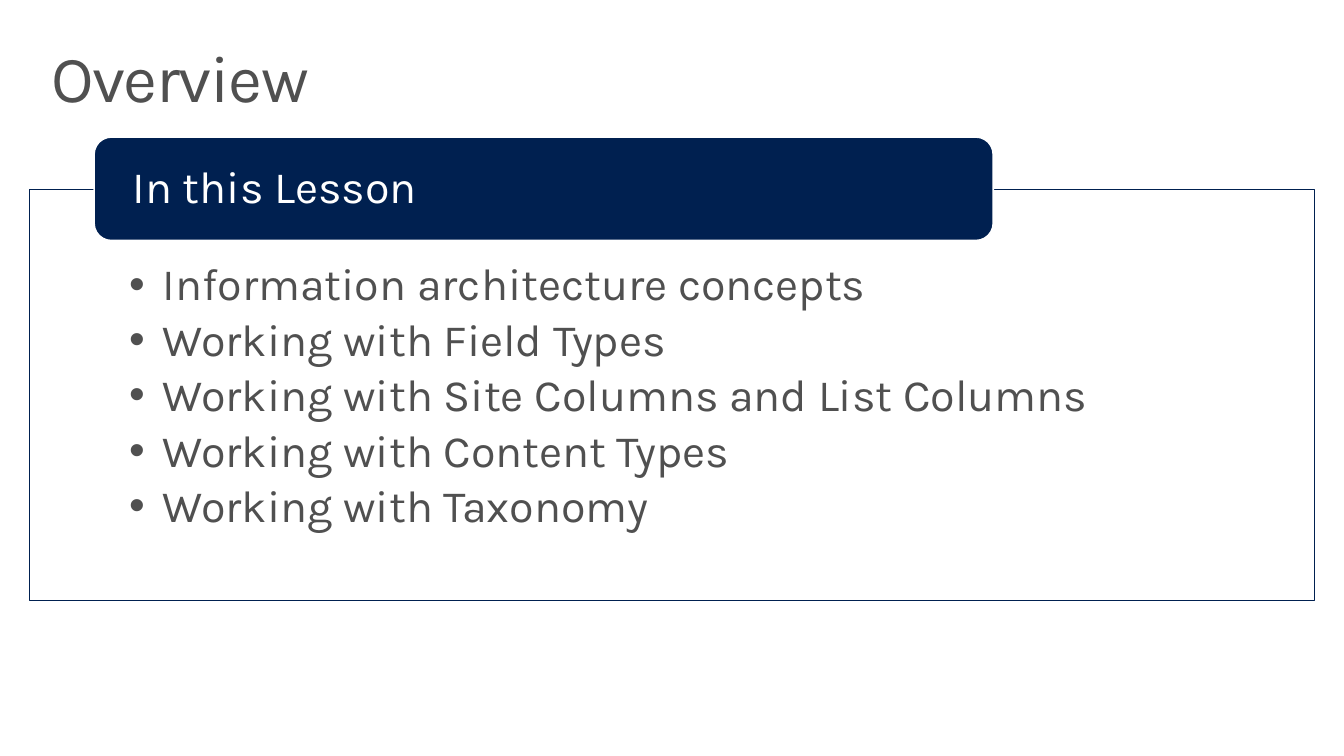
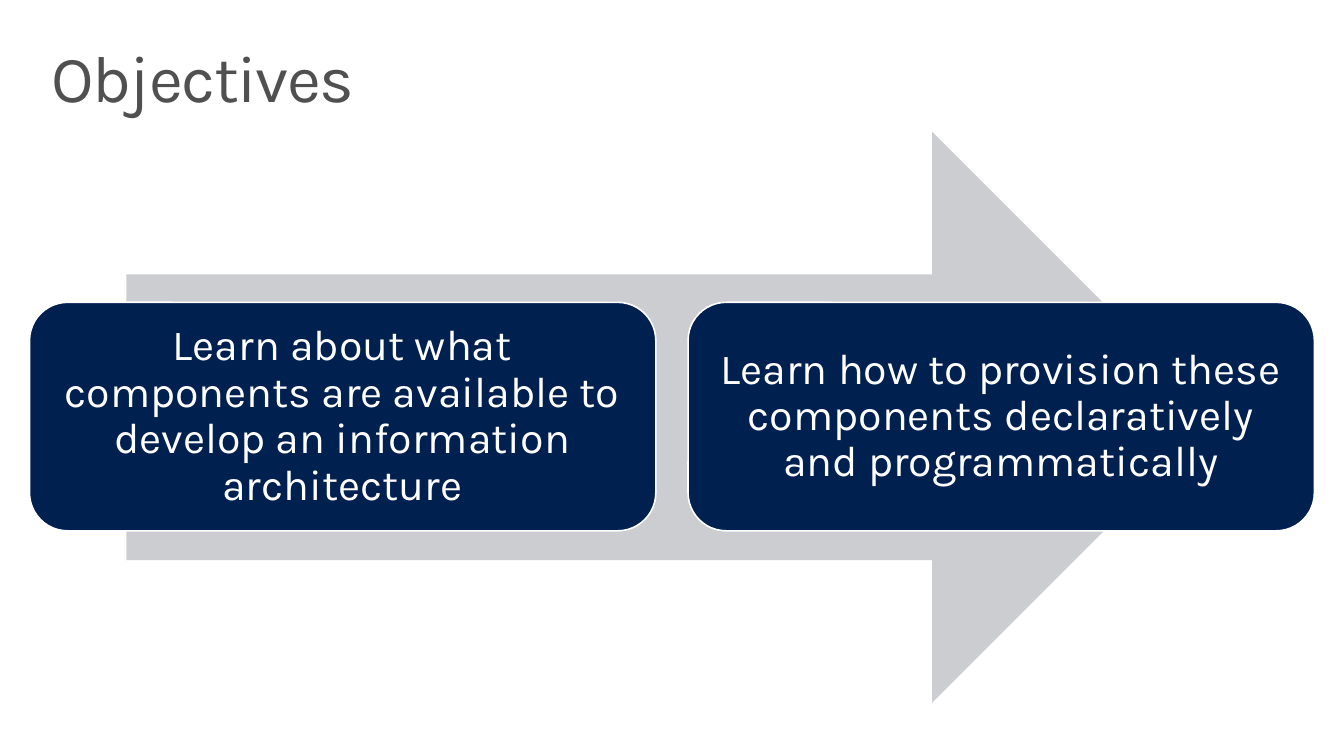
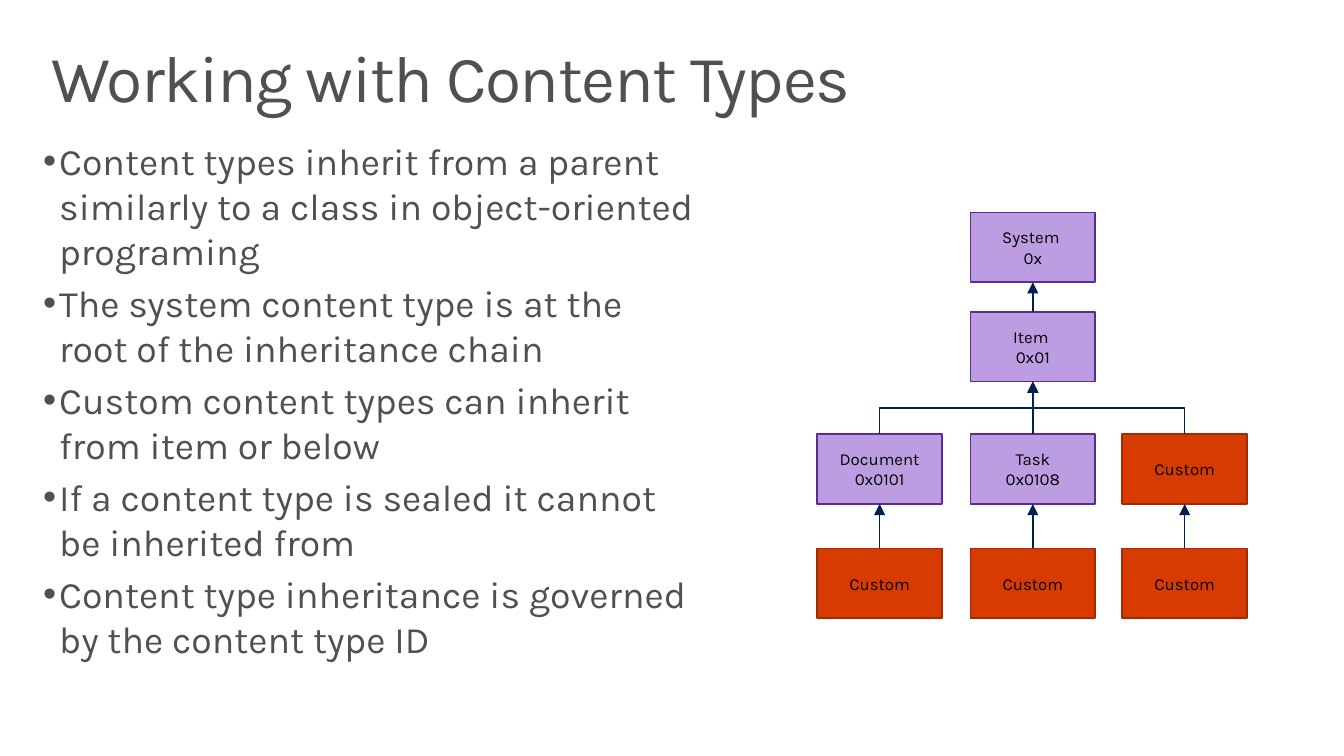
from lxml.etree import SubElement
from pptx import Presentation
from pptx.dml.color import RGBColor
from pptx.enum.shapes import MSO_CONNECTOR, MSO_SHAPE
from pptx.enum.text import MSO_ANCHOR, MSO_AUTO_SIZE, PP_ALIGN
from pptx.oxml.ns import qn
from pptx.util import Inches, Pt

# Shared style
SLIDE_WIDTH = 10
SLIDE_HEIGHT = SLIDE_WIDTH * 9 / 16
FONT = "Karla"
NAVY, GRAY, WHITE, BLACK = "002050", "505050", "FFFFFF", "000000"
SILVER = "CCCDD0"
BUILT_IN = ("BD9DE1", "5C2D91")
CUSTOM = ("D83B01", "A02C01")
MARGIN, CONTENT_WIDTH = 0.22, 9.56
TITLE_BOX = (MARGIN, 0.24, CONTENT_WIDTH, 0.74)

# Slide 1 content
LESSON_HEADING = "In this Lesson"
LESSON_TOPICS = [
    "Information architecture concepts",
    "Working with Field Types",
    "Working with Site Columns and List Columns",
    "Working with Content Types",
    "Working with Taxonomy",
]

# Slide 2 content
OBJECTIVES = [
    "Learn about what components are available to develop an information architecture",
    "Learn how to provision these components declaratively and programmatically",
]

# Slide 3 content
INHERITANCE_RULES = [
    "Content types inherit from a parent similarly to a class in object-oriented programing",
    "The system content type is at the root of the inheritance chain",
    "Custom content types can inherit from item or below",
    "If a content type is sealed it cannot be inherited from",
    "Content type inheritance is governed by the content type ID",
]
# Each content type: label lines, colours, column, row, position of its parent
CONTENT_TYPES = [
    (["System ", "0x"], BUILT_IN, 1, 0, None),
    (["Item ", "0x01"], BUILT_IN, 1, 1, (1, 0)),
    (["Document", "0x0101"], BUILT_IN, 0, 2, (1, 1)),
    (["Task", "0x0108"], BUILT_IN, 1, 2, (1, 1)),
    (["Custom"], CUSTOM, 2, 2, (1, 1)),
    (["Custom"], CUSTOM, 0, 3, (0, 2)),
    (["Custom"], CUSTOM, 1, 3, (1, 2)),
    (["Custom"], CUSTOM, 2, 3, (2, 2)),
]
TREE_COLUMNS = (6.08, 7.22, 8.35)
TREE_ROWS = (1.58, 2.32, 3.23, 4.08)
TYPE_WIDTH, TYPE_HEIGHT = 0.93, 0.52


def color(value):
    return RGBColor.from_string(value)


def place(shape, left, top, width, height):
    shape.left, shape.top = Inches(left), Inches(top)
    shape.width, shape.height = Inches(width), Inches(height)


def paint(shape, fill, line=None):
    shape.fill.solid()
    shape.fill.fore_color.rgb = color(fill)
    if line:
        shape.line.color.rgb = color(line)
        shape.line.width = Pt(0.85)
    else:
        shape.line.fill.background()


def write(shape, lines, size, ink=GRAY, align=PP_ALIGN.LEFT, anchor=MSO_ANCHOR.TOP,
          insets=(0.1, 0.05, 0.1, 0.05), spacing=1.0, before=0, after=0,
          level=0, bullet_indent=None, tracking=None):
    frame = shape.text_frame
    frame.word_wrap = True
    frame.auto_size = MSO_AUTO_SIZE.NONE
    frame.vertical_anchor = anchor
    (frame.margin_left, frame.margin_top,
     frame.margin_right, frame.margin_bottom) = map(Inches, insets)
    for index, line in enumerate(lines):
        paragraph = frame.add_paragraph() if index else frame.paragraphs[0]
        paragraph.alignment, paragraph.level = align, level
        paragraph.line_spacing = spacing
        paragraph.space_before, paragraph.space_after = Pt(before), Pt(after)
        if bullet_indent:
            properties = paragraph._p.get_or_add_pPr()
            properties.set("marL", str(Inches(bullet_indent)))
            properties.set("indent", str(-Inches(bullet_indent)))
            SubElement(properties, qn("a:buChar"), char="•")
        run = paragraph.add_run()
        run.text = line
        run.font.name, run.font.size = FONT, Pt(size)
        run.font.color.rgb = color(ink)
        if tracking:
            run._r.get_or_add_rPr().set("spc", str(tracking))


def add_block(slide, kind, box, fill, line=None):
    block = slide.shapes.add_shape(kind, *map(Inches, box))
    block.shadow.inherit = False
    paint(block, fill, line)
    return block


def add_titled_slide(deck, title, layout):
    slide = deck.slides.add_slide(deck.slide_layouts[layout])
    place(slide.shapes.title, *TITLE_BOX)
    write(slide.shapes.title, [title], 35.3, insets=(0.16, 0.1, 0.16, 0.1),
          spacing=0.9, tracking=-75)
    return slide


def add_inheritance_arrow(slide, child, parent):
    """Run from the top of the child up to the bottom of the parent."""
    start_x, end_x = (TREE_COLUMNS[spot[0]] + TYPE_WIDTH / 2 for spot in (child, parent))
    start_y, end_y = TREE_ROWS[child[1]], TREE_ROWS[parent[1]] + TYPE_HEIGHT
    siblings_share_parent = parent == (1, 1)
    if siblings_share_parent:
        # An elbow leaves sideways, so it is laid out flat and then turned upright
        turn = 270 if start_x > end_x else 90
        sign = -1 if turn == 270 else 1
        mid_x, mid_y = (start_x + end_x) / 2, (start_y + end_y) / 2
        half_run, half_rise = sign * (start_y - end_y) / 2, abs(start_x - end_x) / 2
        ends = (mid_x + half_run, mid_y + half_rise, mid_x - half_run, mid_y - half_rise)
        kind = MSO_CONNECTOR.ELBOW
    else:
        ends, kind = (start_x, start_y, end_x, end_y), MSO_CONNECTOR.STRAIGHT
    arrow = slide.shapes.add_connector(kind, *map(Inches, ends))
    arrow.line.color.rgb = color(NAVY)
    arrow.line.width = Pt(0.75)
    properties = arrow.element.spPr
    if siblings_share_parent:
        properties.find(qn("a:xfrm")).set("rot", str(turn * 60000))
    SubElement(properties.find(qn("a:ln")), qn("a:tailEnd"), type="triangle")
    SubElement(properties, qn("a:effectLst"))


def build_overview(deck):
    slide = add_titled_slide(deck, "Overview", 1)
    topics = slide.placeholders[1]
    place(topics, MARGIN, 1.41, CONTENT_WIDTH, 3.06)
    paint(topics, WHITE, NAVY)
    write(topics, LESSON_TOPICS, 24, insets=(0.74, 0.54, 0.74, 0.19),
          spacing=0.9, after=3.8, level=1, bullet_indent=0.25)
    heading = add_block(slide, MSO_SHAPE.ROUNDED_RECTANGLE, (0.7, 1.02, 6.69, 0.77),
                        NAVY, WHITE)
    write(heading, [LESSON_HEADING], 24, ink=WHITE, anchor=MSO_ANCHOR.MIDDLE,
          insets=(0.25, 0, 0.25, 0), spacing=0.9)


def build_objectives(deck):
    slide = add_titled_slide(deck, "Objectives", 5)
    add_block(slide, MSO_SHAPE.RIGHT_ARROW, (0.94, 0.98, 8.12, 4.25), SILVER)
    gap = 0.24
    width = (CONTENT_WIDTH - gap) / len(OBJECTIVES)
    for index, objective in enumerate(OBJECTIVES):
        box = (MARGIN + index * (width + gap), 2.25, width, 1.7)
        card = add_block(slide, MSO_SHAPE.ROUNDED_RECTANGLE, box, NAVY, WHITE)
        write(card, [objective], 23, ink=WHITE, align=PP_ALIGN.CENTER,
              anchor=MSO_ANCHOR.MIDDLE, insets=(0.1,) * 4, spacing=0.9)


def build_content_types(deck):
    slide = add_titled_slide(deck, "Working with Content Types", 1)
    rules = slide.placeholders[1]
    place(rules, MARGIN, 0.98, 5.08, 3.55)
    write(rules, INHERITANCE_RULES, 20, before=4, bullet_indent=0.12)
    # Inheritance tree
    for label, (fill, line), column, row, parent in CONTENT_TYPES:
        box = (TREE_COLUMNS[column], TREE_ROWS[row], TYPE_WIDTH, TYPE_HEIGHT)
        content_type = add_block(slide, MSO_SHAPE.RECTANGLE, box, fill, line)
        write(content_type, label, 9, ink=BLACK, align=PP_ALIGN.CENTER,
              anchor=MSO_ANCHOR.MIDDLE)
        if parent:
            add_inheritance_arrow(slide, (column, row), parent)


def main():
    deck = Presentation()
    deck.slide_width, deck.slide_height = Inches(SLIDE_WIDTH), Inches(SLIDE_HEIGHT)
    build_overview(deck)
    build_objectives(deck)
    build_content_types(deck)
    deck.save("out.pptx")


if __name__ == "__main__":
    main()
